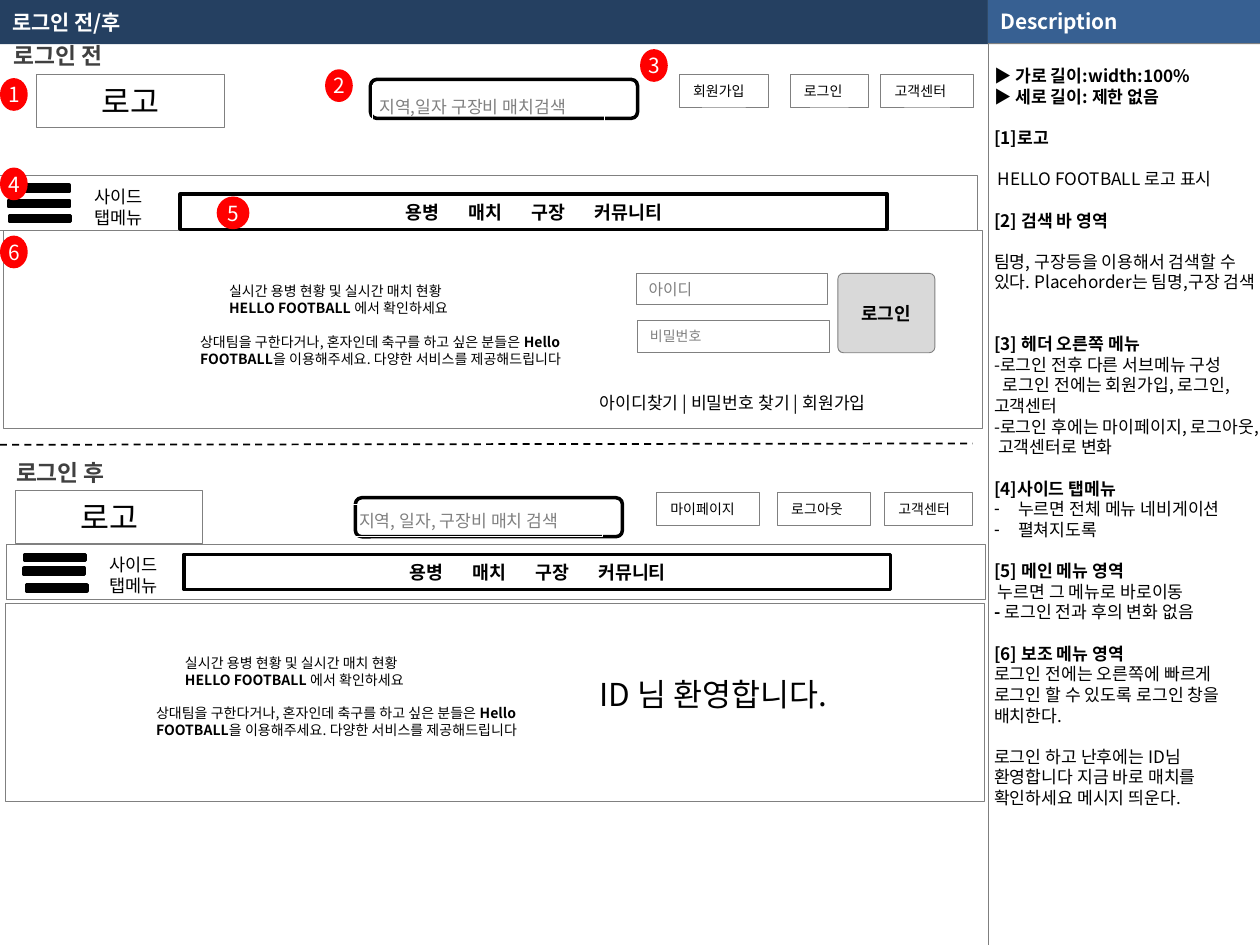
"""Builds the login wireframe slide: screens before and after login plus a description pane."""
from dataclasses import dataclass
from typing import NamedTuple

from lxml.etree import SubElement
from pptx import Presentation
from pptx.dml.color import RGBColor
from pptx.enum.dml import MSO_LINE
from pptx.enum.shapes import MSO_CONNECTOR, MSO_SHAPE
from pptx.enum.text import MSO_ANCHOR, MSO_AUTO_SIZE, PP_ALIGN
from pptx.oxml.ns import qn
from pptx.util import Inches, Pt

FONT = "Noto Sans CJK KR"
NAVY, BLUE = RGBColor(0x25, 0x40, 0x61), RGBColor(0x37, 0x60, 0x92)
BLACK, WHITE = RGBColor(0, 0, 0), RGBColor(255, 255, 255)
GRAY, DARK = RGBColor(0x80, 0x80, 0x80), RGBColor(0x40, 0x40, 0x40)
RULE, SILVER = RGBColor(0x7F, 0x7F, 0x7F), RGBColor(0xD9, 0xD9, 0xD9)
RED = RGBColor(255, 0, 0)
TEXT_INSETS = (0.1, 0.05, 0.1, 0.05)
BUTTON_INSETS = (0.11, 0.06, 0.11, 0.06)
LINE_RATIO = 1.2


class Box(NamedTuple):
    left: float
    top: float
    width: float
    height: float


class Span(NamedTuple):
    text: str
    bold: bool = False


@dataclass
class Line:
    spans: list[Span]
    gap: int = 0
    indent: float = 0
    bullet: str = ""


@dataclass
class Screen:
    label: str
    label_box: Box
    search: Box
    hint: str
    hint_box: Box
    panel: Box
    buttons: list[tuple[str, Box]]
    logo: Box
    bar: Box
    stripes: list[tuple[float, float]]
    side: Box
    menu: Box
    pitch: Box


def plain(text, gap=0, bold=False, **options):
    return Line([Span(text, bold)], gap, **options)


def write(shape, text, *, size, color=BLACK, bold=False, align=PP_ALIGN.LEFT, anchor=MSO_ANCHOR.MIDDLE,
          insets=TEXT_INSETS, wrap=True, spacing=None, tabs=()):
    """Fill a shape with a string or a list of Lines; spacing is the line pitch in points."""
    frame = shape.text_frame
    frame.auto_size, frame.word_wrap, frame.vertical_anchor = MSO_AUTO_SIZE.NONE, wrap, anchor
    frame.margin_left, frame.margin_top, frame.margin_right, frame.margin_bottom = map(Inches, insets)
    lines = [plain(text, bold=bold)] if isinstance(text, str) else text
    for index, line in enumerate(lines):
        para = frame.add_paragraph() if index else frame.paragraphs[0]
        properties = para._p.get_or_add_pPr()
        properties.set("marL", str(Inches(0.19) if line.bullet else 0))
        properties.set("indent", str(Inches(-0.19 if line.bullet else line.indent)))
        if line.bullet:
            SubElement(properties, qn("a:buChar"), char=line.bullet)
        else:
            SubElement(properties, qn("a:buNone"))
        if tabs:
            stops = SubElement(properties, qn("a:tabLst"))
            for stop in tabs:
                SubElement(stops, qn("a:tab"), pos=str(Inches(stop)), algn="l")
        para.alignment = align
        para.space_before = Pt(line.gap * size * LINE_RATIO)
        if spacing:
            para.line_spacing = Pt(spacing)
        for span in line.spans:
            run = para.add_run()
            run.text = span.text
            font = run.font
            font.name, font.size, font.bold = FONT, Pt(size), span.bold
            font.color.rgb = color
            SubElement(run._r.get_or_add_rPr(), qn("a:ea"), typeface=FONT)


def draw(slide, box: Box, fill=WHITE, line=GRAY, weight=0.5, kind=MSO_SHAPE.RECTANGLE):
    shape = slide.shapes.add_shape(kind, *map(Inches, box))
    shape.shadow.inherit = False
    if fill is None:
        shape.fill.background()
    else:
        shape.fill.solid()
        shape.fill.fore_color.rgb = fill
    if line is None:
        shape.line.fill.background()
    else:
        shape.line.color.rgb, shape.line.width = line, Pt(weight)
    return shape


def label(slide, box: Box, text, **options):
    write(slide.shapes.add_textbox(*map(Inches, box)), text, **options)


def rule(slide, start, end, color, weight, dash=None):
    connector = slide.shapes.add_connector(MSO_CONNECTOR.STRAIGHT, *map(Inches, start + end))
    connector.line.color.rgb, connector.line.width = color, Pt(weight)
    if dash:
        connector.line.dash_style = dash
    SubElement(connector._element.spPr, qn("a:effectLst"))


def place(slide, holder, box: Box):
    holder.left, holder.top, holder.width, holder.height = map(Inches, box)
    slide.shapes.element.append(holder.element)


def draw_screen(slide, screen: Screen):
    label(slide, screen.label_box, screen.label, size=13, color=DARK, bold=True, align=PP_ALIGN.CENTER, wrap=False)
    draw(slide, screen.search, line=BLACK, weight=2, kind=MSO_SHAPE.ROUNDED_RECTANGLE)
    write(draw(slide, screen.hint_box, fill=None, line=WHITE), screen.hint, size=9.8, color=GRAY, insets=(0.05,) * 4)
    draw(slide, screen.panel)
    for text, box in screen.buttons:
        write(draw(slide, box), text, size=8, insets=BUTTON_INSETS)
    write(draw(slide, screen.logo), "로고", size=18, align=PP_ALIGN.CENTER, insets=BUTTON_INSETS)
    draw(slide, screen.bar)
    for left, top in screen.stripes:
        draw(slide, Box(left, top, 0.48, 0.05), BLACK, BLACK, 2)
    label(slide, screen.side, "사이드 탭메뉴", size=10, anchor=MSO_ANCHOR.TOP, spacing=12)
    write(draw(slide, screen.menu, line=BLACK, weight=2), "용병\t매치\t구장\t커뮤니티", size=10.5, bold=True,
          insets=(1.79, 0.05, 0.1, 0.05), tabs=[0.47 * step for step in (1, 2, 3)])
    label(slide, screen.pitch, PITCH, size=8, anchor=MSO_ANCHOR.TOP, spacing=9.7,
          insets=(0.1, 0.08, 0.1, 0.05))


PITCH = [
    plain("실시간 용병 현황 및 실시간 매치 현황", indent=0.23),
    Line([Span("HELLO FOOTBALL", True), Span("\u00a0에서 확인하세요")], indent=0.23),
    Line([Span("상대팀을 구한다거나, 혼자인데 축구를 하고 싶은 분들은\u00a0"), Span("Hello FOOTBALL", True),
          Span("을 이용해주세요. 다양한 서비스를 제공해드립니다")], gap=1),
]
DESCRIPTION = [
    plain("▶ 가로 길이:width:100%", bold=True),
    plain("▶ 세로 길이: 제한 없음", bold=True),
    plain("[1]로고", 1, True),
    plain("HELLO FOOTBALL 로고 표시", 1, indent=0.03),
    plain("[2] 검색 바 영역", 1, True),
    plain("팀명, 구장등을 이용해서 검색할 수 있다. Placehorder는 팀명,구장 검색", 1),
    plain("[3] 헤더 오른쪽 메뉴", 2, True),
    plain("-로그인 전후 다른 서브메뉴 구성"),
    plain("로그인 전에는 회원가입, 로그인,고객센터", indent=0.07),
    plain("-로그인 후에는 마이페이지, 로그아웃, 고객센터로 변화"),
    plain("[4]사이드 탭메뉴", 1, True),
    plain("누르면 전체 메뉴 네비게이션", bullet="-"),
    plain("펼쳐지도록", bullet="-"),
    plain("[5] 메인 메뉴 영역", 1, True),
    plain("누르면 그 메뉴로 바로이동", indent=0.03),
    Line([Span("- ", True), Span("로그인 전과 후의 변화 없음")]),
    plain("[6] 보조 메뉴 영역", 1, True),
    plain("로그인 전에는 오른쪽에 빠르게 로그인 할 수 있도록 로그인 창을 배치한다."),
    plain("로그인 하고 난후에는 ID님 환영합니다 지금 바로 매치를 확인하세요 메시지 띄운다.", 1),
]
BEFORE = Screen(
    "로그인 전", Box(-0.04, 0.28, 1, 0.32), Box(2.94, 0.63, 2.12, 0.31),
    "지역,일자 구장비 매치검색", Box(2.96, 0.68, 1.84, 0.33), Box(0.03, 1.83, 7.77, 1.57),
    [("회원가입", Box(5.39, 0.59, 0.71, 0.26)), ("로그인", Box(6.27, 0.59, 0.62, 0.26)),
     ("고객센터", Box(6.99, 0.59, 0.74, 0.26))],
    Box(0.29, 0.59, 1.49, 0.42), Box(-0.01, 1.39, 7.77, 0.44), [(0.07, 1.47), (0.07, 1.59), (0.08, 1.71)],
    Box(0.65, 1.43, 0.76, 0.44), Box(1.43, 1.54, 5.61, 0.28), Box(1.49, 2.16, 3.6, 0.81))
AFTER = Screen(
    "로그인 후", Box(-0.02, 3.59, 1, 0.32), Box(2.82, 3.95, 2.12, 0.31),
    "지역, 일자, 구장비 매치 검색", Box(2.8, 4, 1.98, 0.26), Box(0.04, 4.79, 7.77, 1.57),
    [("마이페이지", Box(5.21, 3.91, 0.82, 0.26)), ("로그아웃", Box(6.17, 3.91, 0.74, 0.26)),
     ("고객센터", Box(7.02, 3.91, 0.7, 0.26))],
    Box(0.12, 3.89, 1.49, 0.42), Box(0.05, 4.32, 7.77, 0.44), [(0.2, 4.4), (0.19, 4.51), (0.21, 4.64)],
    Box(0.77, 4.35, 0.76, 0.44), Box(1.46, 4.4, 5.61, 0.28), Box(1.14, 5.11, 3.6, 0.81))
BADGES = [Box(0, 0.62, 0.22, 0.26), Box(2.58, 0.55, 0.22, 0.26), Box(5.08, 0.39, 0.22, 0.26),
          Box(0, 1.33, 0.22, 0.26), Box(1.72, 1.56, 0.26, 0.26), Box(0, 1.87, 0.22, 0.26)]


def main():
    deck = Presentation()
    deck.slide_width, deck.slide_height = Inches(10), Inches(7.5)
    page = deck.slides.add_slide(deck.slide_layouts[1])
    title, body = page.placeholders

    draw(page, Box(0, 0, 7.84, 0.35), NAVY, None)
    draw(page, Box(7.84, 0, 2.16, 0.35), GRAY, None)
    rule(page, (7.84, 0), (7.84, 0.35), WHITE, 0.25)
    rule(page, (7.84, 0.34), (7.84, 7.5), RULE, 0.25)
    write(draw(page, Box(7.84, 0, 2.16, 0.34), BLUE, None), "Description", size=11.9, color=WHITE, bold=True)
    place(page, title, Box(0, 0, 7.62, 0.35))
    write(title, "로그인 전/후", size=11.9, color=WHITE, bold=True)
    place(page, body, Box(7.85, 0.52, 2.17, 6.98))
    write(body, DESCRIPTION, size=9.8, anchor=MSO_ANCHOR.TOP, insets=(0.04, 0, 0.04, 0), spacing=11.8)

    draw_screen(page, BEFORE)
    draw_screen(page, AFTER)
    rule(page, (0, 3.53), (7.72, 3.52), BLACK, 1, MSO_LINE.DASH)

    write(draw(page, Box(5.05, 2.17, 1.52, 0.25)), "아이디", size=9, color=GRAY)
    write(draw(page, Box(5.06, 2.54, 1.52, 0.26)), "비밀번호", size=8, color=GRAY)
    login = draw(page, Box(6.65, 2.17, 0.77, 0.63), SILVER, kind=MSO_SHAPE.ROUNDED_RECTANGLE)
    login.adjustments[0] = 0.07
    write(login, "로그인", size=10.3, bold=True, align=PP_ALIGN.CENTER)
    label(page, Box(4.66, 2.98, 2.69, 0.35), "아이디찾기 | 비밀번호 찾기 | 회원가입", size=9.8,
          anchor=MSO_ANCHOR.TOP, spacing=17.6)
    label(page, Box(4.66, 5.31, 3.02, 0.4), "ID 님 환영합니다.", size=18)

    for number, box in enumerate(BADGES, 1):
        write(draw(page, box, RED, None, kind=MSO_SHAPE.OVAL), str(number), size=11.9, color=WHITE,
              align=PP_ALIGN.CENTER, insets=(0,) * 4, wrap=False)
    deck.save("out.pptx")


if __name__ == "__main__":
    main()
